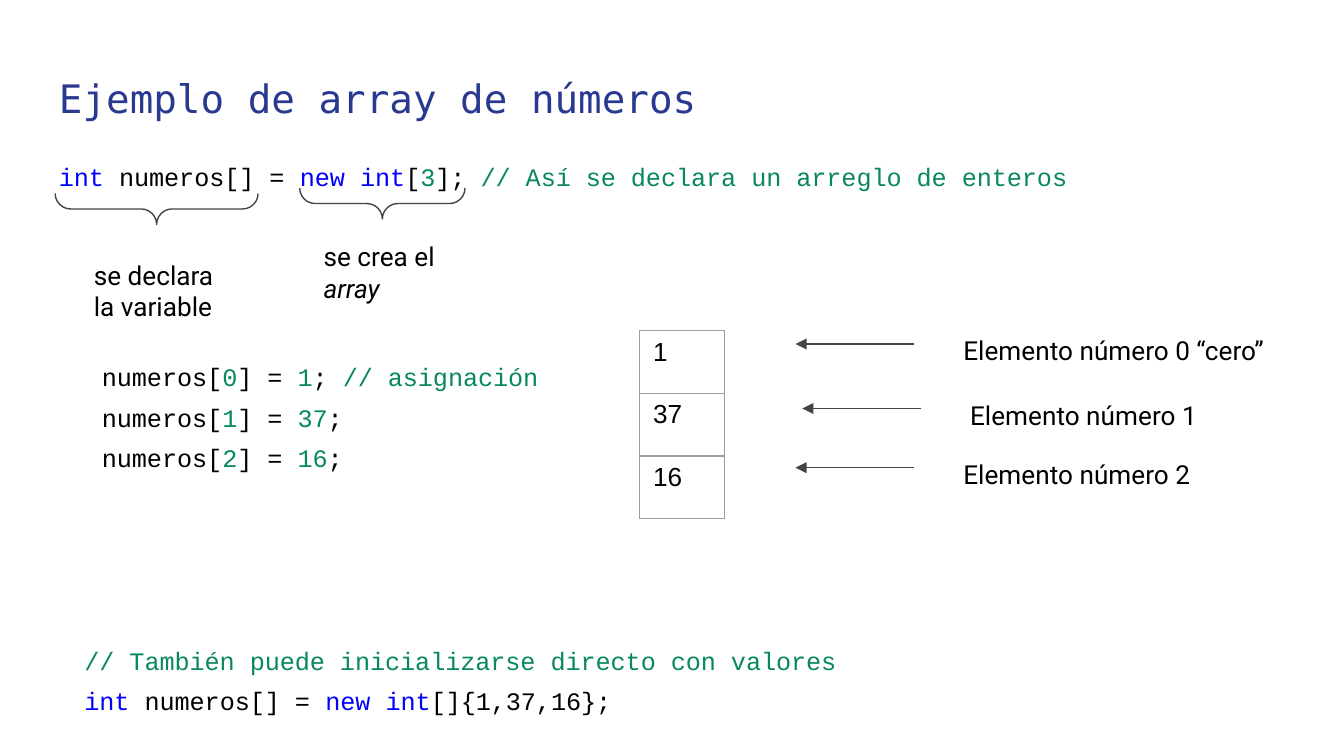
from typing import NamedTuple

import pptx
import pptx.dml.color
import pptx.enum.shapes
import pptx.enum.text
import pptx.oxml
import pptx.oxml.ns
import pptx.util
from pptx.util import Inches

BLACK, BLUE, GREEN, GREY = "000000", "0000FF", "09885A", "434343"
EDGE, NAVY = "9E9E9E", "2A3990"
MARGIN = 0.1
WIDE = 10
HIGH = WIDE * 9 / 16


class Run(NamedTuple):
    text: str
    color: str = BLACK
    italic: bool = False


class Style(NamedTuple):
    font: str
    size: float
    spacing: float = 1.0


class Box(NamedTuple):
    left: float
    top: float
    width: float
    height: float


class Block(NamedTuple):
    box: Box
    style: Style
    lines: list[list[Run]]


class Arrow(NamedTuple):
    left: float
    top: float
    label: str


TITLE = Style("DejaVu Sans Mono", 21)
NOTE = Style("Roboto", 14)
CODE = Style("Courier New", 13.5, 1.35)
CELL = Style("Arial", 14)

VALUES = ["1", "37", "16"]
ARROWS = [
    Arrow(5.92, 2.56, "Elemento número 0 “cero”"),
    Arrow(5.97, 3.04, "Elemento número 1"),
    Arrow(5.92, 3.48, "Elemento número 2"),
]
BRACES = [Box(1.05, 0.8, 0.23, 1.51), Box(2.73, 0.9, 0.23, 1.23)]

DECLARE = [
    Run("int", BLUE), Run(" numeros[] = "), Run("new", BLUE), Run(" "),
    Run("int", BLUE),
]
ASSIGN = [
    [Run("numeros["), Run(str(i), GREEN), Run("] = "), Run(value, GREEN), Run(";")]
    for i, value in enumerate(VALUES)
]
ASSIGN[0].append(Run(" // asignación", GREEN))

BLOCKS = [
    Block(Box(0.34, 0.45, 7.82, 0.66), TITLE,
          [[Run("Ejemplo de array de números", NAVY)]]),
    Block(Box(0.34, 1.02, 8.46, 0.5), CODE,
          [DECLARE + [Run("["), Run("3", GREEN), Run("]; "),
                      Run("// Así se declara un arreglo de enteros", GREEN)]]),
    Block(Box(0.6, 1.83, 1.16, 0.67), NOTE, [[Run("se declara la variable")]]),
    Block(Box(2.31, 1.69, 1.16, 0.67), NOTE,
          [[Run("se crea el "), Run("array", italic=True)]]),
    Block(Box(0.66, 2.51, 3.93, 1.11), CODE, ASSIGN),
    Block(Box(0.53, 4.62, 8.46, 0.81), CODE,
          [[Run("// También puede inicializarse directo con valores", GREEN)],
           DECLARE + [Run("[]{" + ",".join(VALUES) + "};")]]),
]


def rgb(code: str) -> pptx.dml.color.RGBColor:
    return pptx.dml.color.RGBColor.from_string(code)


def place(box: Box) -> list[pptx.util.Length]:
    return [Inches(side) for side in box]


def assign(target, values: dict) -> None:
    """Set each named attribute of the target."""
    for name, value in values.items():
        setattr(target, name, value)


def write(frame, lines: list[list[Run]], style: Style) -> None:
    for i, line in enumerate(lines):
        para = frame.paragraphs[0] if i == 0 else frame.add_paragraph()
        para.line_spacing = style.spacing
        for part in line:
            run = para.add_run()
            run.text = part.text
            assign(run.font, {"name": style.font, "italic": part.italic,
                              "size": pptx.util.Pt(style.size)})
            run.font.color.rgb = rgb(part.color)


def draw_text(slide, block: Block) -> None:
    frame = slide.shapes.add_textbox(*place(block.box)).text_frame
    sides = ("left", "top", "right", "bottom")
    assign(frame, {"word_wrap": True,
                   "vertical_anchor": pptx.enum.text.MSO_ANCHOR.TOP,
                   **{f"margin_{side}": Inches(MARGIN) for side in sides}})
    write(frame, block.lines, block.style)


def draw_line(line) -> None:
    line.color.rgb = rgb(GREY)
    line.width = pptx.util.Pt(0.75)


def draw_arrow(slide, arrow: Arrow) -> None:
    """Draw an arrow pointing left, with its label on the right."""
    y = Inches(arrow.top)
    link = slide.shapes.add_connector(
        pptx.enum.shapes.MSO_CONNECTOR.STRAIGHT,
        Inches(arrow.left + 0.88), y, Inches(arrow.left), y)
    draw_line(link.line)
    ns = pptx.oxml.ns.nsdecls("a")
    link.line._get_or_add_ln().append(
        pptx.oxml.parse_xml(f'<a:tailEnd {ns} type="triangle"/>'))
    link._element.spPr.append(pptx.oxml.parse_xml(f"<a:effectLst {ns}/>"))
    box = Box(arrow.left + 1.15, arrow.top - 0.17, 2.54, 0.43)
    draw_text(slide, Block(box, NOTE, [[Run(arrow.label)]]))


def draw_brace(slide, box: Box) -> None:
    kind = pptx.enum.shapes.MSO_SHAPE.RIGHT_BRACE
    brace = slide.shapes.add_shape(kind, *place(box))
    brace.rotation = 90
    brace.shadow.inherit = False
    brace.adjustments[0] = brace.adjustments[1] = 0.5
    brace.fill.background()
    draw_line(brace.line)


def draw_edges(cell) -> None:
    """Give the cell a thin line on all four sides."""
    ns = pptx.oxml.ns.nsdecls("a")
    width = pptx.util.Pt(0.75)
    for i, side in enumerate("LRTB"):
        cell._tc.get_or_add_tcPr().insert(i, pptx.oxml.parse_xml(
            f'<a:ln{side} {ns} w="{width}"><a:solidFill>'
            f'<a:srgbClr val="{EDGE}"/></a:solidFill></a:ln{side}>'))


def draw_table(slide, box: Box, values: list[str]) -> None:
    table = slide.shapes.add_table(len(values), 1, *place(box)).table
    assign(table, {"first_row": False, "horz_banding": False})
    for i, value in enumerate(values):
        cell = table.cell(i, 0)
        cell.fill.background()
        draw_edges(cell)
        assign(cell, {"margin_left": Inches(MARGIN), "margin_right": Inches(MARGIN),
                      "margin_top": Inches(0.05), "margin_bottom": Inches(0.05)})
        write(cell.text_frame, [[Run(value)]], CELL)


def main() -> None:
    deck = pptx.Presentation()
    assign(deck, {"slide_width": Inches(WIDE), "slide_height": Inches(HIGH)})
    slide = deck.slides.add_slide(deck.slide_layouts[6])
    draw_table(slide, Box(4.76, 2.46, 0.63, 1.4), VALUES)
    for arrow in ARROWS:
        draw_arrow(slide, arrow)
    for block in BLOCKS:
        draw_text(slide, block)
    for brace in BRACES:
        draw_brace(slide, brace)
    deck.save("out.pptx")


if __name__ == "__main__":
    main()
